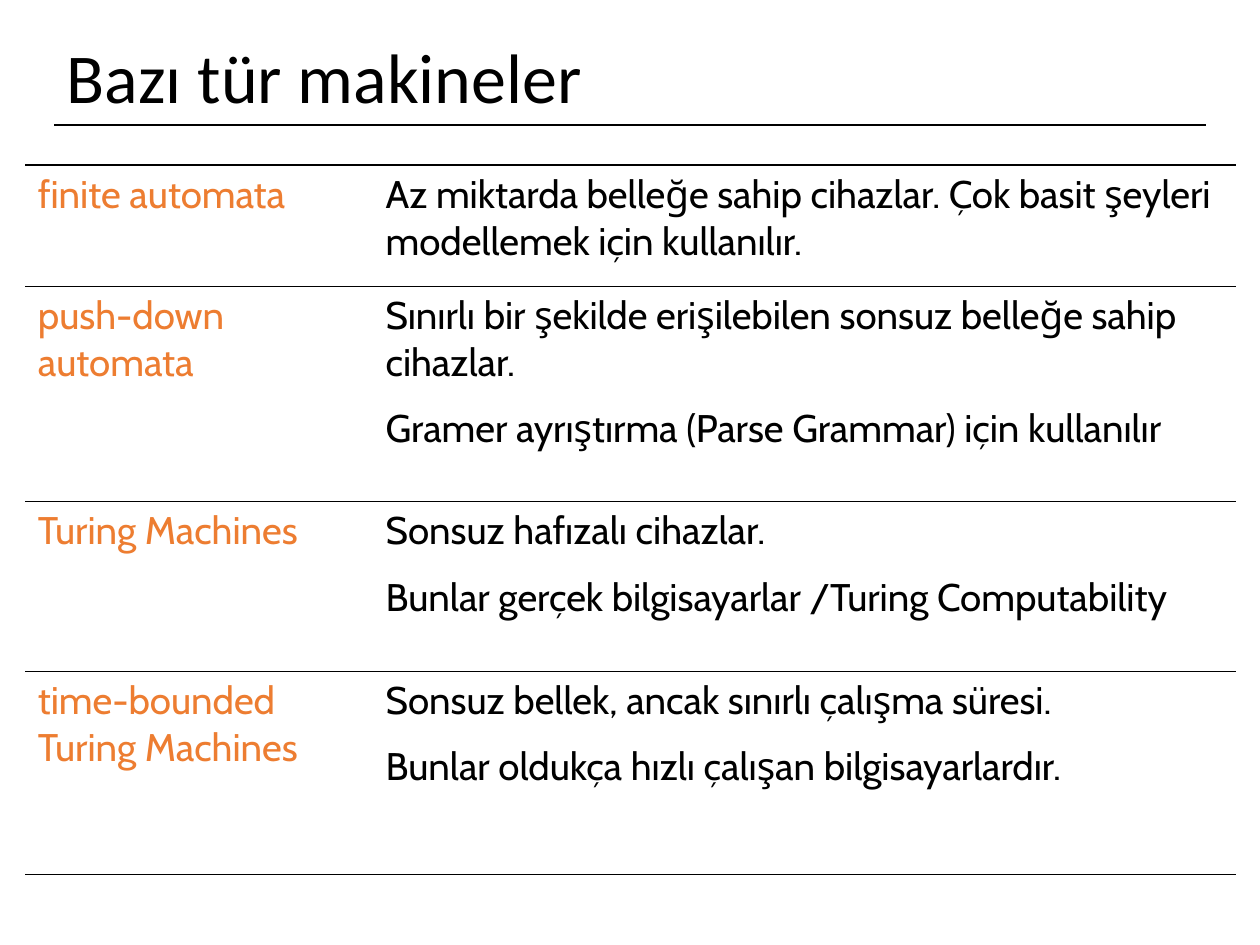
"""Builds a slide that compares four kinds of machines in a ruled table."""
from lxml import etree
from pptx import Presentation
from pptx.dml.color import RGBColor
from pptx.enum.shapes import MSO_CONNECTOR
from pptx.enum.text import MSO_ANCHOR, PP_ALIGN
from pptx.oxml.ns import qn
from pptx.util import Cm, Pt

LINE = MSO_CONNECTOR.STRAIGHT
MID = MSO_ANCHOR.MIDDLE
LEFT = PP_ALIGN.LEFT
BLACK, ORANGE = "000000", "ED7D31"


def style(para, font, size, color):
    para.alignment = LEFT
    for run in para.runs:
        run.font.name = font
        run.font.size = Pt(size)
        run.font.color.rgb = RGBColor.from_string(color)


def edge(cell, side, width):
    props = cell._tc.get_or_add_tcPr()
    line = etree.SubElement(props, qn("a:ln" + side), w=str(int(Pt(width))))
    if width:
        fill = etree.SubElement(line, qn("a:solidFill"))
        etree.SubElement(fill, qn("a:srgbClr"), val=BLACK)
    else:
        etree.SubElement(line, qn("a:noFill"))


deck = Presentation()
deck.slide_width, deck.slide_height = Cm(25.4), Cm(19.05)
slide = deck.slides.add_slide(deck.slide_layouts[5])

title = slide.shapes.title
title.left, title.top, title.width, title.height = Cm(1.09), Cm(0.71), Cm(23.22), Cm(1.83)
title.text_frame.text = "Bazı tür makineler"
title.text_frame.vertical_anchor = MID
head = title.text_frame.paragraphs[0]
head.line_spacing = 0.9
style(head, "Calibri", 40, BLACK)

rule = slide.shapes.add_connector(LINE, Cm(1.09), Cm(2.52), Cm(24.31), Cm(2.52))
rule.line.width = Pt(0.75)
rule.line.color.rgb = RGBColor.from_string(BLACK)
etree.SubElement(rule._element.spPr, qn("a:effectLst"))

rows = [
    (2.44, "finite automata",
     "Az miktarda belleğe sahip cihazlar. Çok basit şeyleri modellemek için kullanılır."),
    (4.34, "push-down automata",
     "Sınırlı bir şekilde erişilebilen sonsuz belleğe sahip cihazlar.\n"
     "Gramer ayrıştırma (Parse Grammar) için kullanılır"),
    (3.42, "Turing Machines",
     "Sonsuz hafızalı cihazlar.\nBunlar gerçek bilgisayarlar /Turing Computability"),
    (4.1, "time-bounded Turing Machines",
     "Sonsuz bellek, ancak sınırlı çalışma süresi.\n"
     "Bunlar oldukça hızlı çalışan bilgisayarlardır."),
]
frame = slide.shapes.add_table(len(rows), 2, Cm(0.51), Cm(3.33), Cm(24.4), Cm(14.3))
table = frame.table
table.first_row = table.horz_banding = False
table.columns[0].width, table.columns[1].width = Cm(7.01), Cm(17.39)

last = len(rows) - 1
for r, (height, *texts) in enumerate(rows):
    table.rows[r].height = Cm(height)
    for c, (text, color) in enumerate(zip(texts, (ORANGE, BLACK))):
        cell = table.cell(r, c)
        cell.text_frame.text = text
        for i, para in enumerate(cell.text_frame.paragraphs):
            para.space_before = Pt(11 if i else 0)
            style(para, "Cabin", 22, color)
        edge(cell, "L", 0)
        edge(cell, "R", 0)
        edge(cell, "T", 1.08 if r == 0 else 0.45)
        edge(cell, "B", 1.08 if r == last else 0.45)
        cell.fill.background()

deck.save("out.pptx")
